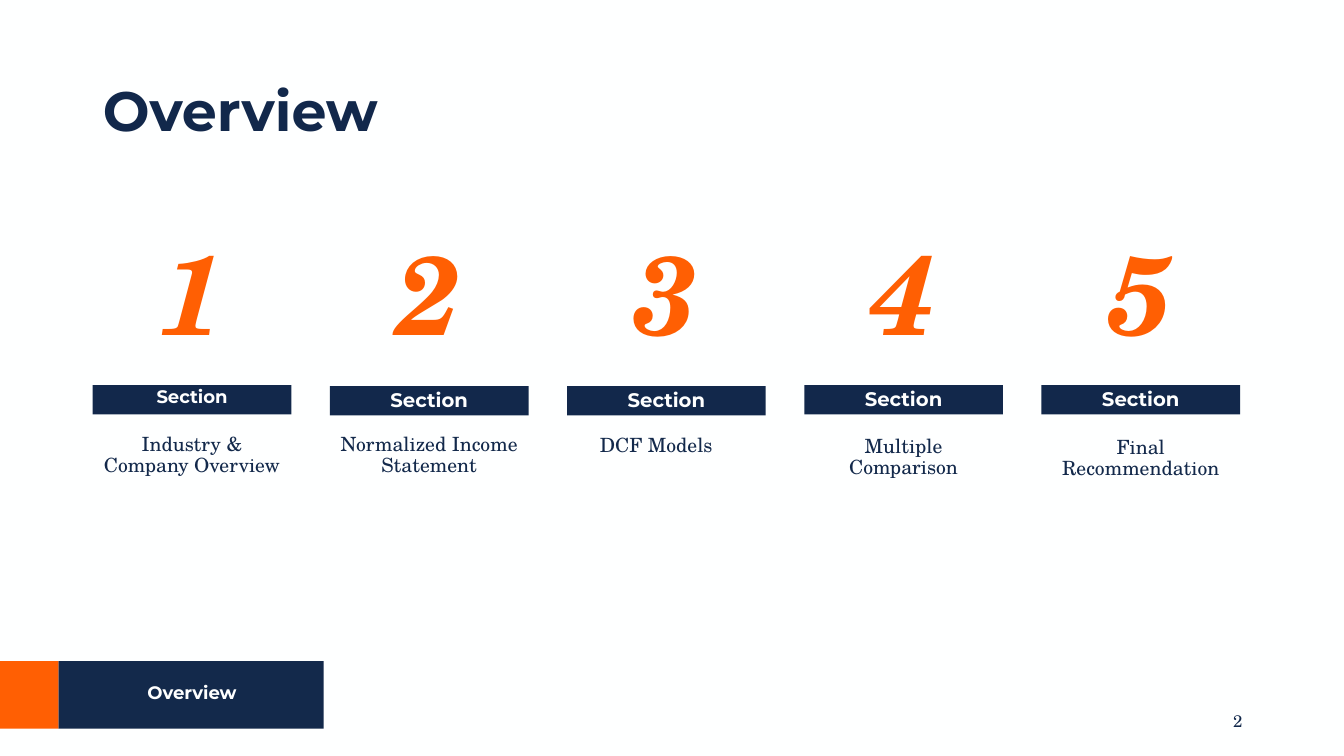
"""Build the overview slide with five numbered sections."""
from pptx import Presentation
from pptx.dml.color import RGBColor
from pptx.enum.shapes import MSO_SHAPE
from pptx.enum.text import MSO_ANCHOR, PP_ALIGN
from pptx.util import Inches, Pt

RECTANGLE = MSO_SHAPE.RECTANGLE
TOP, MIDDLE = MSO_ANCHOR.TOP, MSO_ANCHOR.MIDDLE
LEFT, CENTER, RIGHT = PP_ALIGN.LEFT, PP_ALIGN.CENTER, PP_ALIGN.RIGHT
NAVY = RGBColor(0x12, 0x28, 0x4B)
FOOTER_NAVY = RGBColor(0x13, 0x29, 0x4B)
ORANGE = RGBColor(0xFF, 0x5F, 0x03)
WHITE = RGBColor(0xFE, 0xFF, 0xFF)
SANS, SERIF = "Montserrat", "TeX Gyre Schola"

GRID_LEFT, GRID_WIDTH = 0.92, 11.38
COLUMN_WIDTH, TAB_HEIGHT = 1.97, 0.29
NUMBER_SIZE = 1.17
FOOTER_TOP, FOOTER_HEIGHT, FOOTER_SPLIT = 6.56, 0.67, 0.58

SECTIONS = [
    ("Industry & Company Overview", 3.82, 4.26, 12.9, 0.8),
    ("Normalized Income Statement", 3.83, 4.26, 14, 0.9),
    ("DCF Models", 3.83, 4.27, 14, 0.9),
    ("Multiple Comparison", 3.82, 4.28, 14, 0.9),
    ("Final Recommendation", 3.82, 4.29, 14, 0.9),
]


def write(shape, text, font=SERIF, size=14, color=FOOTER_NAVY, bold=False, italic=False,
          align=CENTER, anchor=TOP, line_spacing=0.9, space_before=0):
    """Fill a shape with one formatted paragraph."""
    frame = shape.text_frame
    frame.word_wrap = True
    frame.vertical_anchor = anchor
    paragraph = frame.paragraphs[0]
    paragraph.alignment = align
    paragraph.line_spacing = line_spacing
    paragraph.space_before = Pt(space_before)
    run = paragraph.add_run()
    run.text = text
    run.font.name = font
    run.font.size = Pt(size)
    run.font.bold = bold
    run.font.italic = italic
    run.font.color.rgb = color


def add_bar(left, top, width, height, color):
    """Add a plain filled rectangle."""
    bar = slide.shapes.add_shape(RECTANGLE, Inches(left), Inches(top), Inches(width), Inches(height))
    bar.shadow.inherit = False
    bar.fill.solid()
    bar.fill.fore_color.rgb = color
    bar.line.fill.background()
    return bar


presentation = Presentation()
presentation.slide_width = Inches(13.33)
presentation.slide_height = Inches(7.5)
slide = presentation.slides.add_slide(presentation.slide_layouts[5])
slide.background.fill.solid()
slide.background.fill.fore_color.rgb = WHITE

title = slide.shapes.title
title.left, title.top = Inches(GRID_LEFT), Inches(0.8)
title.width, title.height = Inches(GRID_WIDTH), Inches(0.66)
write(title, "Overview", font=SANS, size=39.6, color=NAVY, bold=True, align=LEFT, anchor=MIDDLE)

add_bar(FOOTER_SPLIT, FOOTER_TOP, 2.63, FOOTER_HEIGHT, FOOTER_NAVY)
add_bar(0, FOOTER_TOP, FOOTER_SPLIT, FOOTER_HEIGHT, ORANGE)

pitch = (GRID_WIDTH - COLUMN_WIDTH) / (len(SECTIONS) - 1)
for index, (topic, tab_top, topic_top, tab_size, tab_spacing) in enumerate(SECTIONS):
    left = GRID_LEFT + index * pitch
    number = slide.shapes.add_textbox(Inches(left + (COLUMN_WIDTH - NUMBER_SIZE) / 2), Inches(2.38),
                                      Inches(NUMBER_SIZE), Inches(NUMBER_SIZE))
    write(number, str(index + 1), size=80, color=ORANGE, bold=True, italic=True, anchor=MIDDLE)

    tab = add_bar(left, tab_top, COLUMN_WIDTH, TAB_HEIGHT, NAVY)
    write(tab, "Section", font=SANS, size=tab_size, color=WHITE, bold=True,
          line_spacing=tab_spacing, space_before=10)

    description = slide.shapes.add_textbox(Inches(left), Inches(topic_top),
                                           Inches(COLUMN_WIDTH), Inches(1.3))
    write(description, topic, space_before=10)
    if topic == "DCF Models":
        description.text_frame.margin_right = Inches(0.3)

footer = slide.shapes.add_textbox(Inches(GRID_LEFT), Inches(6.75), Inches(COLUMN_WIDTH), Inches(TAB_HEIGHT))
write(footer, "Overview", font=SANS, size=12.9, color=WHITE, bold=True,
      line_spacing=0.8, space_before=10)

page_number = slide.shapes.add_textbox(Inches(9.42), Inches(6.95), Inches(3), Inches(0.4))
write(page_number, "2", size=12, color=NAVY, align=RIGHT, anchor=MIDDLE, line_spacing=1.0)

presentation.save("out.pptx")
